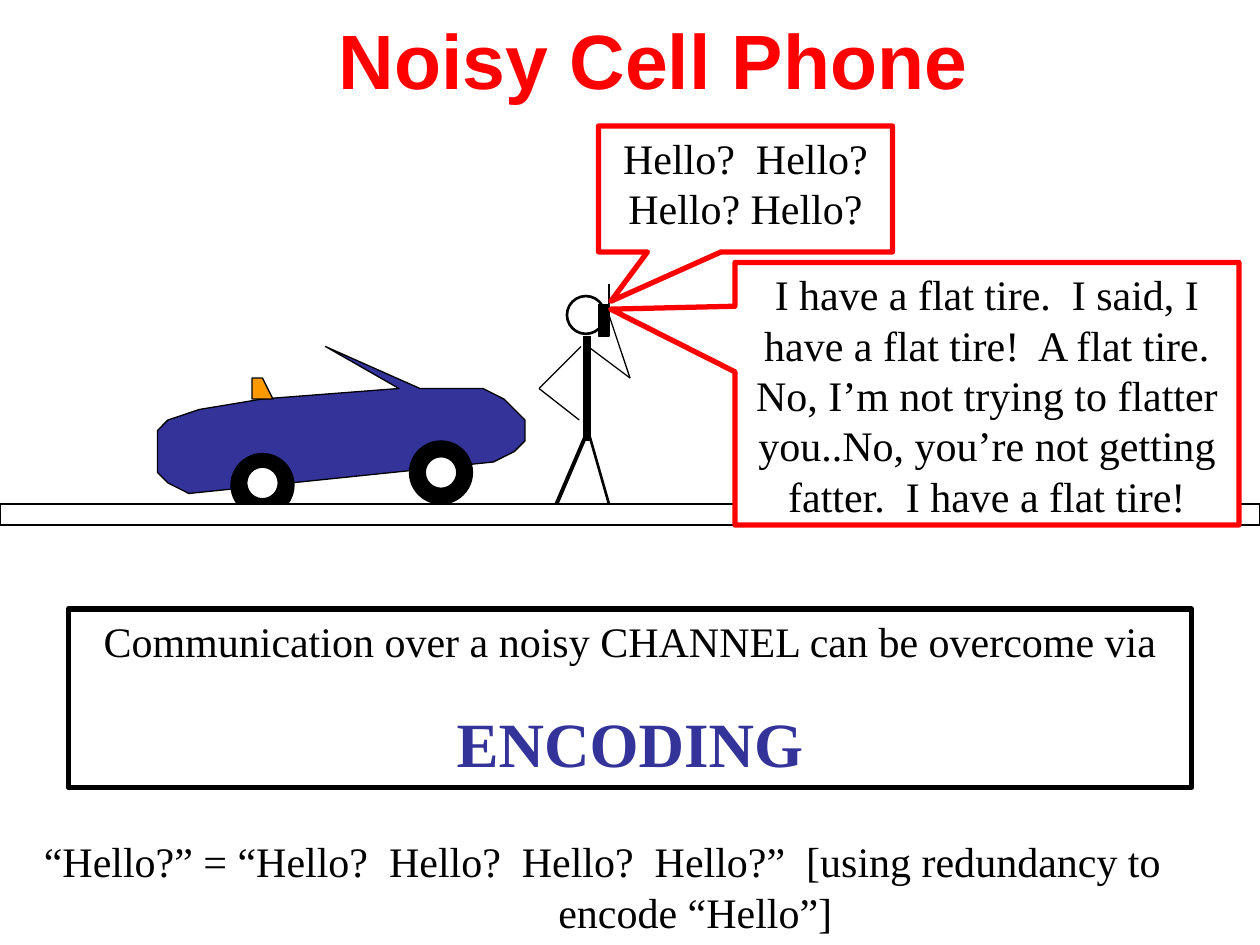
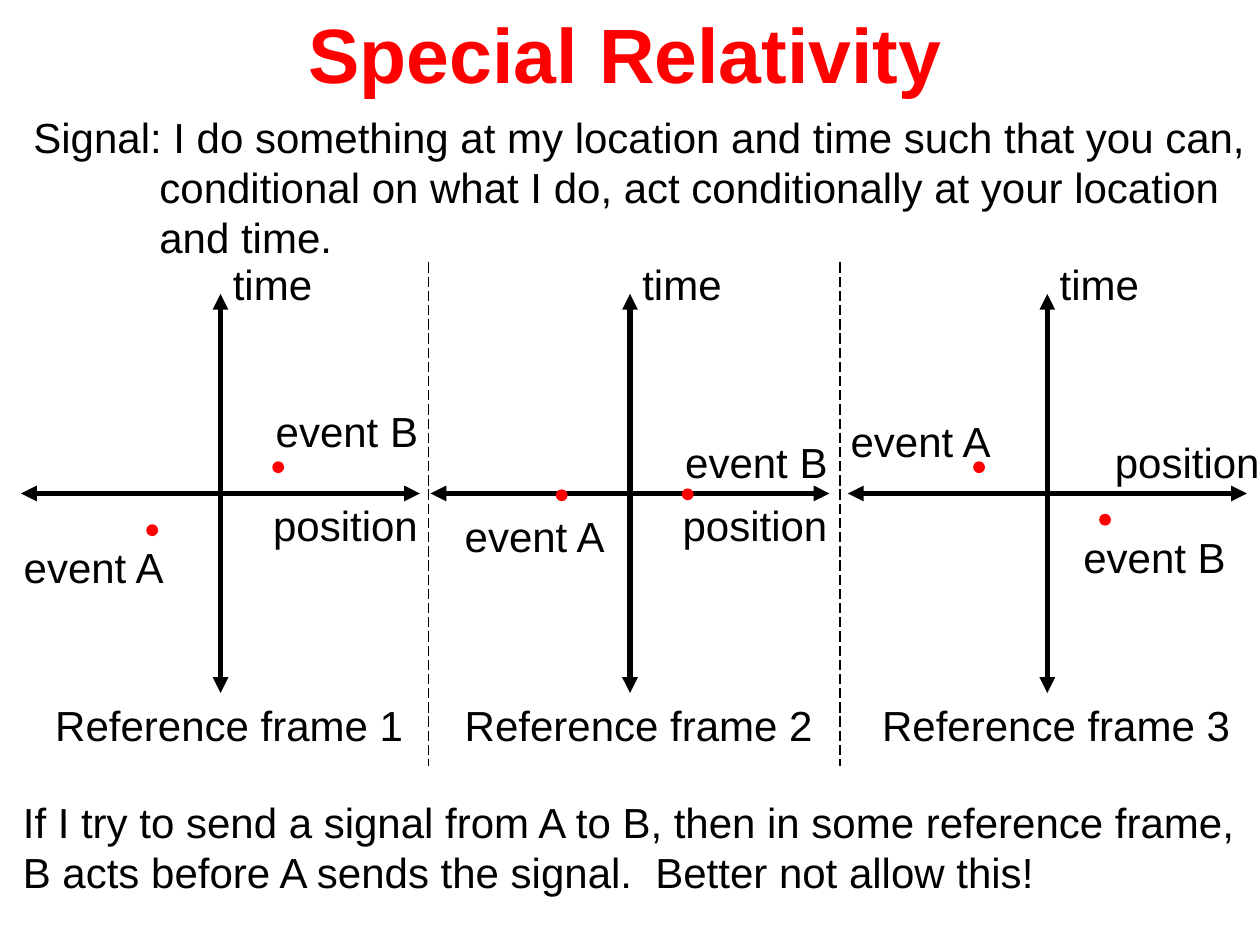
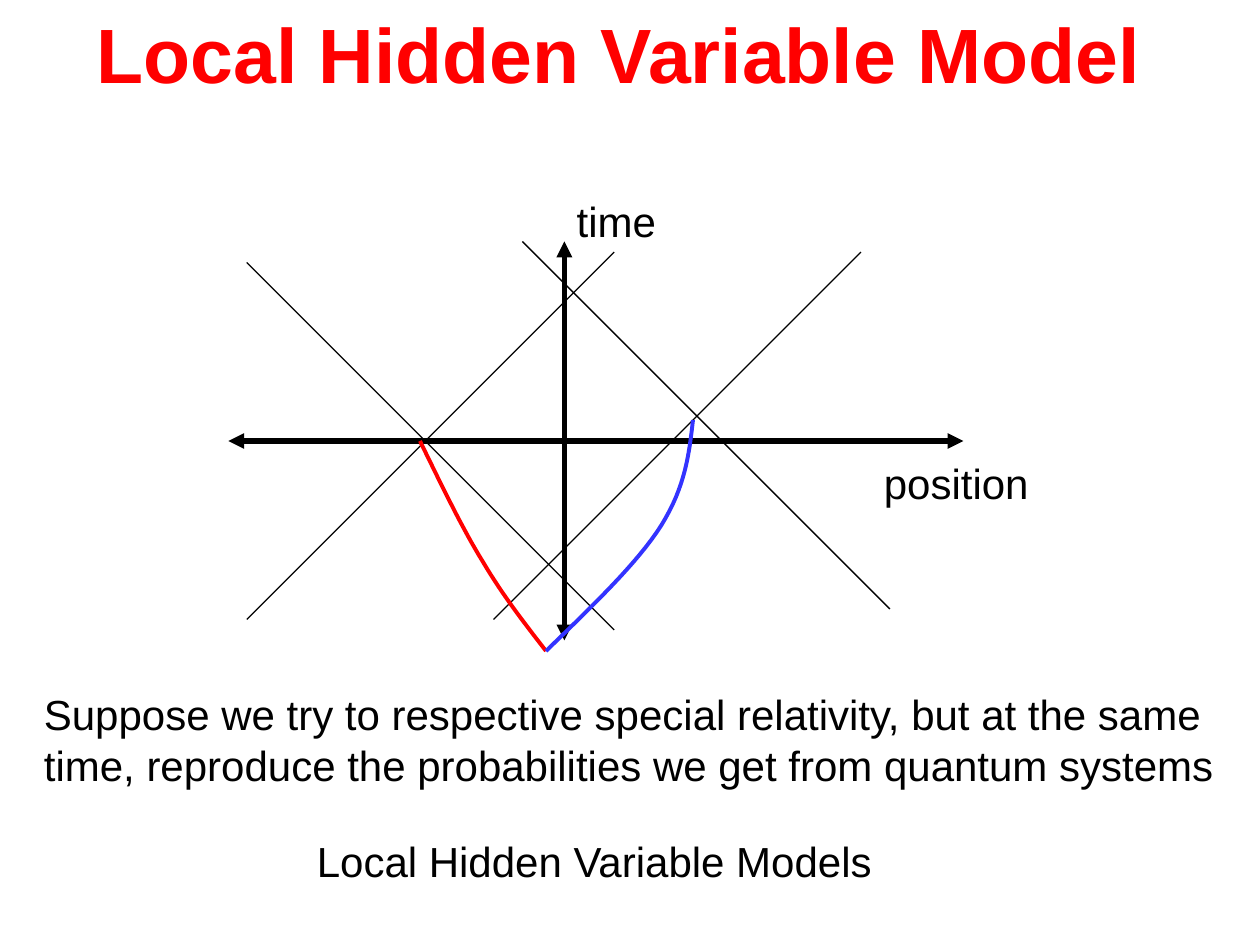
from pptx import Presentation
from pptx.dml.color import RGBColor
from pptx.enum.dml import MSO_LINE
from pptx.enum.shapes import MSO_CONNECTOR, MSO_SHAPE
from pptx.enum.text import MSO_ANCHOR, PP_ALIGN
from pptx.oxml.ns import qn
from pptx.util import Pt
from lxml.etree import SubElement

BLACK = RGBColor(0x00, 0x00, 0x00)
WHITE = RGBColor(0xFF, 0xFF, 0xFF)
RED = RGBColor(0xFF, 0x00, 0x00)
NAVY = RGBColor(0x33, 0x33, 0x99)
BLUE = RGBColor(0x33, 0x33, 0xFF)
ORANGE = RGBColor(0xFF, 0x99, 0x00)

TITLE = {"name": "Arial", "size": Pt(44), "bold": True}
SANS = {"name": "Arial", "size": Pt(24), "bold": False}
SERIF = {"name": "Times New Roman", "size": Pt(24), "bold": False}
KEYWORD = {"name": "Times New Roman", "size": Pt(36), "bold": True}


def write(shape, texts, font_format, color=BLACK, alignment=PP_ALIGN.LEFT, indent=0):
    frame = shape.text_frame
    frame.word_wrap = True
    frame.vertical_anchor = MSO_ANCHOR.TOP
    if alignment == PP_ALIGN.LEFT:
        frame.margin_right = Pt(0)
    for index, text in enumerate(texts):
        paragraph = frame.add_paragraph() if index else frame.paragraphs[0]
        paragraph.alignment = alignment
        if index and indent:
            paragraph._p.get_or_add_pPr().set("marL", str(Pt(indent)))
        run = paragraph.add_run()
        run.text = text
        for name, value in font_format.items():
            setattr(run.font, name, value)
        run.font.color.rgb = color


def add_line(slide, start_x, start_y, end_x, end_y, width=0.75, arrows=False, dash=None):
    connector = slide.shapes.add_connector(
        MSO_CONNECTOR.STRAIGHT, Pt(start_x), Pt(start_y), Pt(end_x), Pt(end_y))
    connector.line.color.rgb = BLACK
    connector.line.width = Pt(width)
    if dash:
        connector.line.dash_style = dash
    if arrows:
        for end in ("a:headEnd", "a:tailEnd"):
            SubElement(connector.line._get_or_add_ln(), qn(end)).set("type", "triangle")
    SubElement(connector._element.spPr, qn("a:effectLst"))


presentation = Presentation()
presentation.slide_width = Pt(720)
presentation.slide_height = Pt(540)

slides = []
for title, left, top, width in [
    ("Noisy Cell Phone", 186.5, 3.6, 380),
    ("Special Relativity", 169.2, 0, 380),
    ("Local Hidden Variable Model", 48.2, 0, 616),
]:
    slide = presentation.slides.add_slide(presentation.slide_layouts[6])
    title_box = slide.shapes.add_textbox(Pt(left), Pt(top), Pt(width), Pt(60.5))
    write(title_box, [title], TITLE, RED)
    slides.append(slide)
phone_slide, relativity_slide, model_slide = slides
painted = []

car = [(108, 282), (282, 264), (294, 258), (300, 252), (300, 240), (288, 228), (276, 222),
       (240, 222), (186, 198), (228, 222), (150, 228), (114, 234), (96, 240), (90, 246),
       (90, 270), (96, 276)]
seat = [(144, 228), (144, 216), (150, 216), (156, 228)]
for outline, fill in [(car, NAVY), (seat, ORANGE)]:
    corners = [(Pt(x), Pt(y)) for x, y in outline]
    builder = phone_slide.shapes.build_freeform(*corners[0])
    builder.add_line_segments(corners[1:], close=True)
    painted.append((builder.convert_to_shape(), fill, BLACK, 0.75))

for kind, left, top, width, height, fill, line_width in [
    (MSO_SHAPE.OVAL, 234, 252, 36, 36, BLACK, 0.75),
    (MSO_SHAPE.OVAL, 243, 261, 18, 18, WHITE, 0.75),
    (MSO_SHAPE.OVAL, 132, 259.2, 36, 36, BLACK, 0.75),
    (MSO_SHAPE.OVAL, 141, 267, 18, 18, WHITE, 0.75),
    (MSO_SHAPE.RECTANGLE, 0, 288, 720, 12, WHITE, 0.75),
    (MSO_SHAPE.OVAL, 324, 169.2, 21.6, 21.6, WHITE, 1.5),
    (MSO_SHAPE.RECTANGLE, 342, 174, 6, 18, BLACK, 0.75),
]:
    shape = phone_slide.shapes.add_shape(kind, Pt(left), Pt(top), Pt(width), Pt(height))
    painted.append((shape, fill, BLACK, line_width))

for limb in [
    (318, 288, 336, 246, 2.25),
    (336, 246, 348, 288, 1.5),
    (335.5, 252, 335.5, 192, 4.5),
    (332, 198, 308, 222),
    (308, 222, 331, 240),
    (336, 198, 360, 216),
    (360, 216, 348, 180),
    (348, 174, 348, 162),
]:
    add_line(phone_slide, *limb)

for left, top, width, height, adjustments, texts in [
    (342, 72, 168, 72, (-0.458, 0.892), ["Hello?  Hello? Hello? Hello?"]),
    (420, 150, 288, 150, (-0.747, -0.322), [
        "I have a flat tire.  I said, I have a flat tire!  A flat tire.",
        "No, I’m not trying to flatter you..No, you’re not getting fatter.  I have a flat tire!"]),
]:
    callout = phone_slide.shapes.add_shape(
        MSO_SHAPE.RECTANGULAR_CALLOUT, Pt(left), Pt(top), Pt(width), Pt(height))
    for index, adjustment in enumerate(adjustments):
        callout.adjustments[index] = adjustment
    write(callout, texts, SERIF, alignment=PP_ALIGN.CENTER)
    painted.append((callout, WHITE, RED, 3))

encoding_box = phone_slide.shapes.add_shape(MSO_SHAPE.RECTANGLE, Pt(39), Pt(348), Pt(642), Pt(102))
write(encoding_box, ["Communication over a noisy CHANNEL can be overcome via", "ENCODING"],
      SERIF, alignment=PP_ALIGN.CENTER)
keyword = encoding_box.text_frame.paragraphs[1]
keyword.space_before = Pt(22.5)
for name, value in KEYWORD.items():
    setattr(keyword.runs[0].font, name, value)
keyword.runs[0].font.color.rgb = NAVY
painted.append((encoding_box, None, BLACK, 3))

redundancy_box = phone_slide.shapes.add_textbox(Pt(18), Pt(474), Pt(684), Pt(65))
write(redundancy_box, ["“Hello?” = “Hello?  Hello?  Hello?  Hello?”  [using redundancy to",
                       "encode “Hello”]"], SERIF, indent=294)

AXIS_Y = 282
HALF_AXIS = 114
frames = [
    (126, (149, 282), (6.5, 306), (150.5, 228), 300, 264),
    (360, (383, 282), (258.5, 288), (384.5, 246), 280, 279.5),
    (598.5, (630, 246), (479, 234), (612, 300), 264, 294),
]
for number, (origin, position_at, event_a_at, event_b_at, dot_a_y, dot_b_y) in enumerate(frames, 1):
    add_line(relativity_slide, origin - HALF_AXIS, AXIS_Y, origin + HALF_AXIS, AXIS_Y, 3, True)
    add_line(relativity_slide, origin, AXIS_Y - HALF_AXIS, origin, AXIS_Y + HALF_AXIS, 3, True)
    for text, (left, top), width in [
        ("position", position_at, 97.2),
        ("time", (origin, 144), 59.8),
        (f"Reference frame {number}", (origin - 101.5, 396), 213),
        ("event A", event_a_at, 95.8),
        ("event B", event_b_at, 95.8),
    ]:
        label = relativity_slide.shapes.add_textbox(Pt(left), Pt(top), Pt(width), Pt(36))
        write(label, [text], SANS)
    for left, top in [(origin - 42, dot_a_y), (origin + 30, dot_b_y)]:
        dot = relativity_slide.shapes.add_shape(MSO_SHAPE.OVAL, Pt(left), Pt(top), Pt(6), Pt(6))
        painted.append((dot, RED, RED, 0.75))

for divider_x in (244.8, 480):
    add_line(relativity_slide, divider_x, 150, divider_x, 438, dash=MSO_LINE.LONG_DASH)

signal_box = relativity_slide.shapes.add_textbox(Pt(12), Pt(60), Pt(708), Pt(93.6))
write(signal_box, ["Signal: I do something at my location and time such that you can,",
                   "conditional on what I do, act conditionally at your location",
                   "and time."], SANS, indent=72)
conclusion_box = relativity_slide.shapes.add_textbox(Pt(6), Pt(451.5), Pt(709), Pt(65))
write(conclusion_box, ["If I try to send a signal from A to B, then in some reference frame,",
                       "B acts before A sends the signal.  Better not allow this!"], SANS)

add_line(model_slide, 130.5, 252, 550.5, 252, 3, True)
add_line(model_slide, 322.5, 138, 322.5, 366, 3, True)
for light_ray in [
    (141, 354, 351, 144),
    (141, 150, 351, 360),
    (282, 354, 492, 144),
    (298.5, 138, 508.5, 348),
]:
    add_line(model_slide, *light_ray)

for texts, left, top, width, height in [
    (["position"], 498, 258, 97.2, 36),
    (["time"], 322.5, 108, 59.8, 36),
    (["Suppose we try to respective special relativity, but at the same",
      "time, reproduce the probabilities we get from quantum systems"], 18, 390, 682.5, 65),
    (["Local Hidden Variable Models"], 174, 474, 360, 36),
]:
    text_box = model_slide.shapes.add_textbox(Pt(left), Pt(top), Pt(width), Pt(height))
    write(text_box, texts, SANS)

STEPS = 16
red_path = [(312, 372), (300, 356.4), (288, 341.3), (276, 321.1),
            (264, 301.7), (252, 276.5), (240, 252)]
blue_path = [(312, 372), (337.7, 347), (364.3, 321.8), (378, 300),
             (391.7, 277.9), (393.8, 259.2), (396, 240)]
for controls, color in [(red_path, RED), (blue_path, BLUE)]:
    points = []
    for first in (0, 3):
        for step in range(1, STEPS + 1):
            t = step / STEPS
            weights = ((1 - t) ** 3, 3 * t * (1 - t) ** 2, 3 * t ** 2 * (1 - t), t ** 3)
            segment = controls[first:first + 4]
            points.append(tuple(Pt(sum(weight * point[axis] for weight, point in zip(weights, segment)))
                                for axis in (0, 1)))
    builder = model_slide.shapes.build_freeform(Pt(controls[0][0]), Pt(controls[0][1]))
    builder.add_line_segments(points, close=False)
    painted.append((builder.convert_to_shape(), None, color, 2.25))

for shape, fill, line_color, line_width in painted:
    shape.shadow.inherit = False
    if fill is None:
        shape.fill.background()
    else:
        shape.fill.solid()
        shape.fill.fore_color.rgb = fill
    shape.line.color.rgb = line_color
    shape.line.width = Pt(line_width)

presentation.save("out.pptx")
